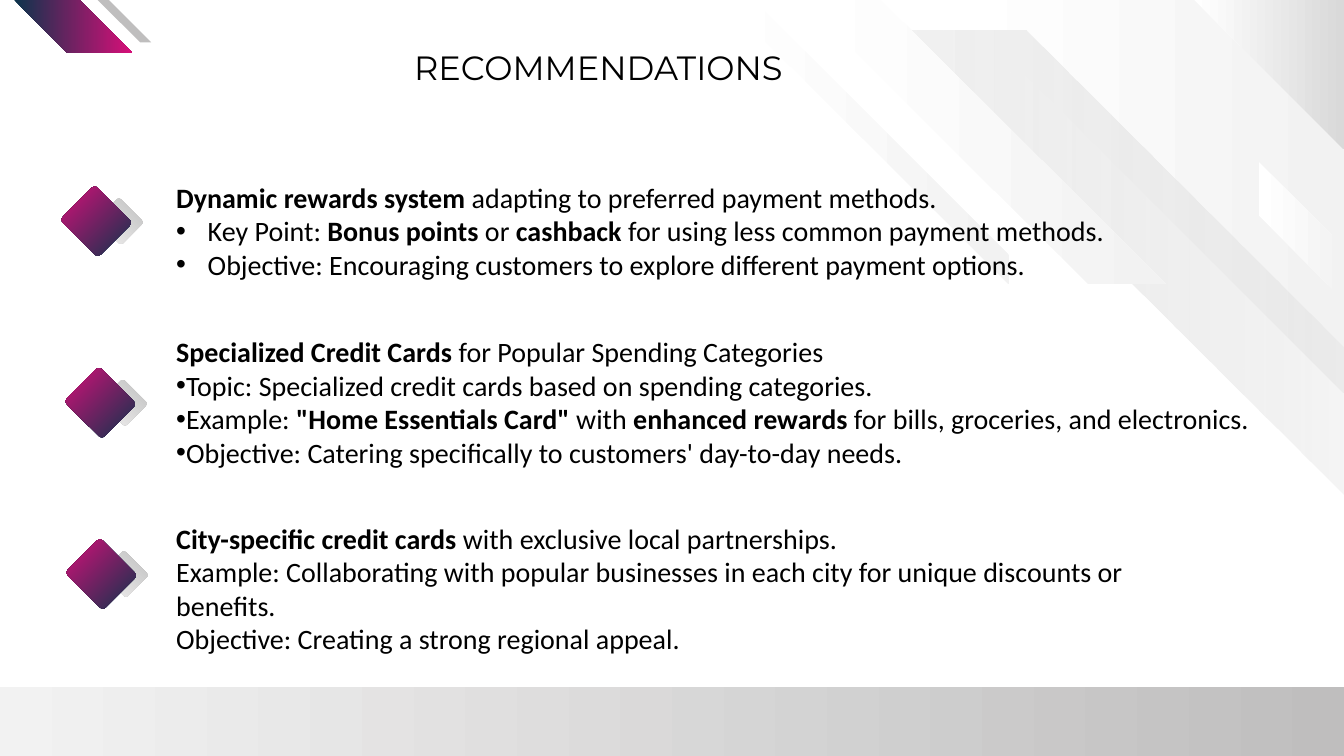
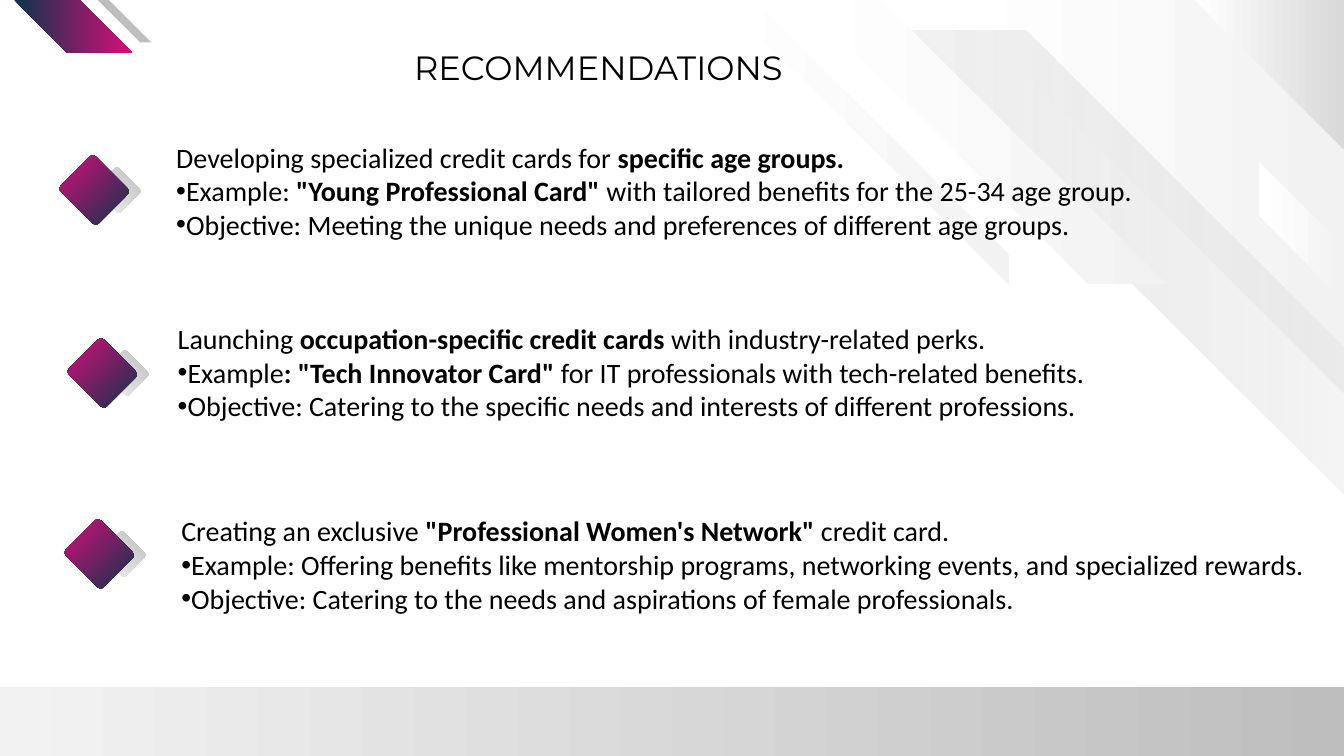
from lxml.etree import SubElement
from pptx import Presentation
from pptx.dml.color import RGBColor
from pptx.enum.shapes import MSO_SHAPE
from pptx.enum.text import MSO_AUTO_SIZE
from pptx.oxml.ns import qn
from pptx.util import Pt

WIDTH, HEIGHT = 960, 540
COLORS = {
    "text": "000000",
    "white": "FFFFFF",
    "pale": "F2F2F2",
    "light": "D9D9D9",
    "gray": "BFBEBE",
    "navy": "0C344C",
    "magenta": "D80F79",
}
TITLE_FONT, BODY_FONT = "Montserrat", "Calibri"
TITLE = "RECOMMENDATIONS"

BACKDROP_STRIPES = [
    ([(WIDTH, 0), (679, 0), (WIDTH, 281)], ("white", "pale"), None),
    ([(WIDTH, 247.7), (733.7, 21.6), (627.1, 21.6), (WIDTH, 353.5)], ("pale", "light"), 26),
    ([(WIDTH, 176.4), (899.3, 115.9), (899.3, 154.1), (WIDTH, 214.6)], ("white", "pale"), None),
    ([(833, 203), (629.3, 0), (573.8, 0), (777.6, 203)], ("white", "pale"), None),
    ([(WIDTH, 0), (853.2, 0), (WIDTH, 106.6)], ("white", "light"), None),
    ([(538.6, 0), (720.7, 182.2), (720.7, 203), (517, 0)], ("white", "pale"), None),
]
CORNER_STRIPES = [
    ([(10, 0), (48.2, 38.2), (95, 38.2), (56.9, 0)], ("navy", "magenta"), None),
    ([(69.8, 0), (100.1, 30.2), (108, 30.2), (77.8, 0)], ("gray",), None),
]

SLIDES = [
    [
        {
            "diamond": (49.7, 140.4),
            "box": (118.8, 125.3, 820.8, 80),
            "hanging": 22.5,
            "lines": [
                "**Dynamic rewards system **adapting to preferred payment methods.",
                "•Key Point: **Bonus points** or **cashback** for using less common payment methods.",
                "•Objective: Encouraging customers to explore different payment options.",
            ],
        },
        {
            "diamond": (52.6, 270),
            "box": (118.8, 235.4, 820.8, 104.4),
            "lines": [
                "**Specialized Credit Cards **for Popular Spending Categories",
                "•Topic: Specialized credit cards based on spending categories.",
                '•Example: **"Home Essentials Card"** with **enhanced rewards** for bills, groceries, and electronics.',
                "•Objective: Catering specifically to customers' day-to-day needs.",
            ],
        },
        {
            "diamond": (53.3, 392.4),
            "box": (118.8, 368.6, 745.9, 104.4),
            "lines": [
                "**City-specific credit cards **with exclusive local partnerships.",
                "Example: Collaborating with popular businesses in each city for unique discounts or benefits.",
                "Objective: Creating a strong regional appeal.",
            ],
        },
    ],
    [
        {
            "diamond": (48.2, 118.1),
            "box": (118.8, 96.5, 817.2, 80),
            "lines": [
                "Developing specialized credit cards for **specific age groups.**",
                '•Example: **"Young Professional Card" **with tailored benefits for the 25-34 age group.',
                "•Objective: Meeting the unique needs and preferences of different age groups.",
            ],
        },
        {
            "diamond": (54, 248.8),
            "box": (119.9, 226.1, 720, 80),
            "lines": [
                "Launching **occupation-specific credit cards **with industry-related perks.",
                '•Example**: "Tech Innovator Card"** for IT professionals with tech-related benefits.',
                "•Objective: Catering to the specific needs and interests of different professions.",
            ],
        },
        {
            "diamond": (51.8, 378),
            "box": (122.4, 363.6, 817.2, 80),
            "lines": [
                'Creating an exclusive **"Professional Women\'s Network" **credit card.',
                "•Example: Offering benefits like mentorship programs, networking events, and specialized rewards.",
                "•Objective: Catering to the needs and aspirations of female professionals.",
            ],
        },
    ],
]


def rgb(name):
    return RGBColor.from_string(COLORS[name])


def paint(shape, colors, angle=0, end_alpha=None):
    shape.shadow.inherit = False
    shape.line.fill.background()
    if len(colors) == 1:
        shape.fill.solid()
        shape.fill.fore_color.rgb = rgb(colors[0])
        return
    shape.fill.gradient()
    shape.fill.gradient_angle = angle
    for stop, position, color in zip(shape.fill.gradient_stops, (0, 1), colors):
        stop.position = position
        stop.color.rgb = rgb(color)
    if end_alpha is not None:
        end_color = list(shape.fill._xPr.iter(qn("a:srgbClr")))[-1]
        SubElement(end_color, qn("a:alpha")).set("val", str(end_alpha * 1000))


def add_stripe(slide, points, colors, end_alpha):
    corners = [(Pt(x), Pt(y)) for x, y in points]
    builder = slide.shapes.build_freeform(*corners[0])
    builder.add_line_segments(corners[1:], close=True)
    paint(builder.convert_to_shape(), colors, end_alpha=end_alpha)


def add_block(slide, kind, box, colors, rotation=0):
    shape = slide.shapes.add_shape(kind, *map(Pt, box))
    shape.rotation = rotation
    paint(shape, colors, angle=180)
    return shape


def add_diamond(slide, left, top):
    for box, colors, rotation in (
        ((left + 24.5, top + 5, 23, 25.2), ("gray", "pale"), 315),
        ((left, top, 38.2, 35.3), ("navy", "magenta"), 45),
    ):
        shape = add_block(slide, MSO_SHAPE.ROUNDED_RECTANGLE, box, colors, rotation)
        shape.adjustments[0] = 0.09


def set_bullet(paragraph, hanging):
    properties = paragraph._p.get_or_add_pPr()
    properties.set("marL", str(Pt(hanging)))
    properties.set("indent", str(-Pt(hanging)))
    SubElement(properties, qn("a:buFont")).set("typeface", "Arial")
    SubElement(properties, qn("a:buChar")).set("char", "•")


def add_text(slide, box, lines, font, size, hanging=0):
    frame = slide.shapes.add_textbox(*map(Pt, box)).text_frame
    frame.word_wrap = True
    frame.auto_size = MSO_AUTO_SIZE.SHAPE_TO_FIT_TEXT
    for index, line in enumerate(lines):
        paragraph = frame.add_paragraph() if index else frame.paragraphs[0]
        if line.startswith("•"):
            set_bullet(paragraph, hanging)
        paragraph.font.name = font
        paragraph.font.size = Pt(size)
        paragraph.font.color.rgb = rgb("text")
        for part, text in enumerate(line.removeprefix("•").split("**")):
            if text:
                run = paragraph.add_run()
                run.text = text
                run.font.bold = part % 2 == 1


def add_frame(slide):
    add_block(slide, MSO_SHAPE.RECTANGLE, (0, 491, WIDTH, 49), ("gray", "pale"))
    for stripe in BACKDROP_STRIPES + CORNER_STRIPES:
        add_stripe(slide, *stripe)
    add_text(slide, (288.7, 30.2, 330.5, 36), [TITLE], TITLE_FONT, 24)


def main():
    presentation = Presentation()
    presentation.slide_width, presentation.slide_height = Pt(WIDTH), Pt(HEIGHT)
    for recommendations in SLIDES:
        slide = presentation.slides.add_slide(presentation.slide_layouts[6])
        add_frame(slide)
        for item in recommendations:
            add_diamond(slide, *item["diamond"])
            add_text(slide, item["box"], item["lines"], BODY_FONT, 20, item.get("hanging", 0))
    presentation.save("out.pptx")


if __name__ == "__main__":
    main()
